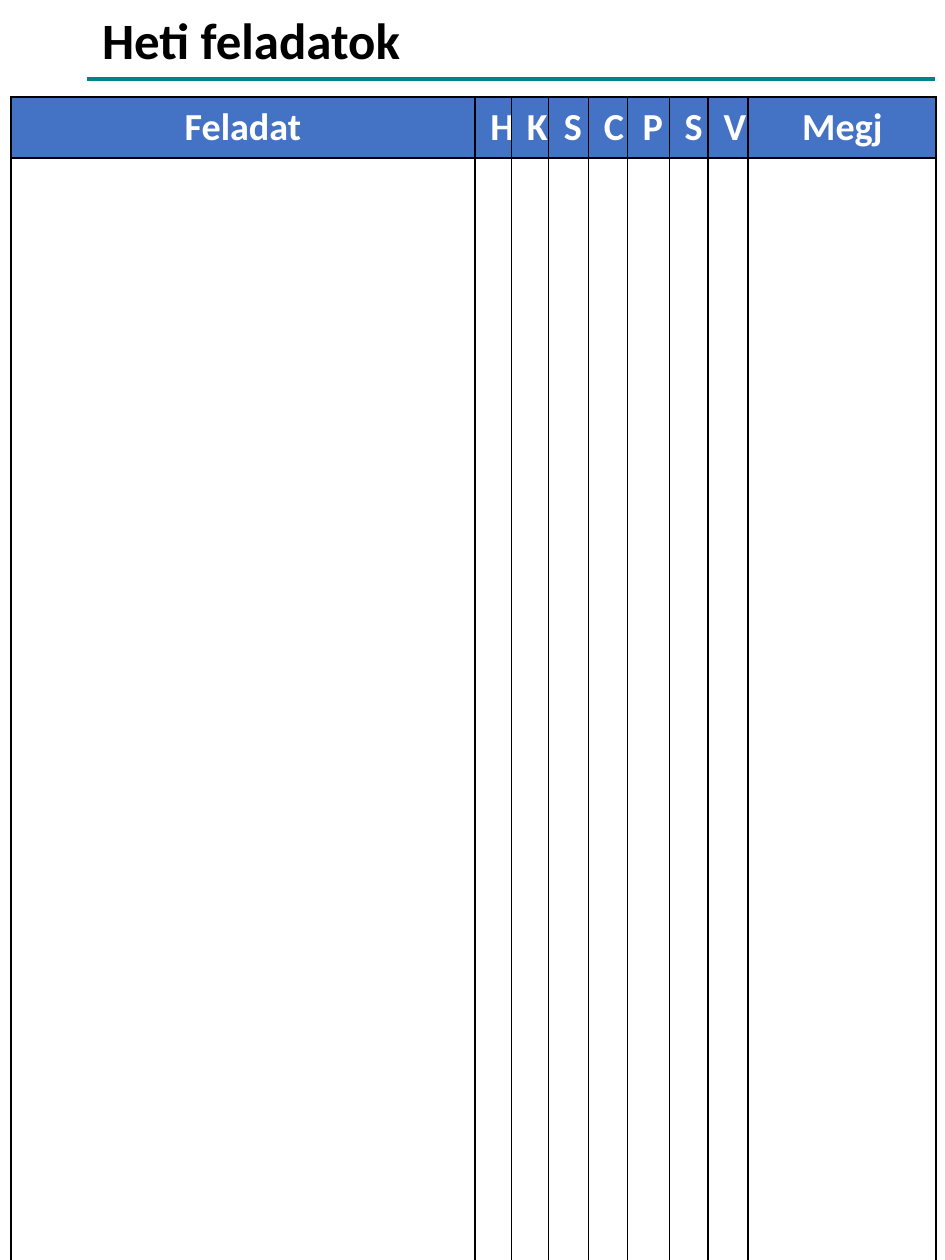
from dataclasses import dataclass

from lxml import etree
from pptx import Presentation
from pptx.dml.color import RGBColor
from pptx.enum.shapes import MSO_CONNECTOR
from pptx.enum.text import MSO_ANCHOR, PP_ALIGN
from pptx.oxml.ns import qn
from pptx.util import Emu, Pt

STRAIGHT = MSO_CONNECTOR.STRAIGHT
MIDDLE = MSO_ANCHOR.MIDDLE
LEFT, CENTER = PP_ALIGN.LEFT, PP_ALIGN.CENTER

SCALE = 914400 / 152.7
FONT = "Calibri"
BLACK, WHITE, TEAL, BLUE = "000000", "FFFFFF", "00818C", "4472C4"
SIDES = ("a:lnL", "a:lnR", "a:lnT", "a:lnB")


@dataclass
class Column:
    head: str
    width: int


COLUMNS = [
    Column("Feladat", 464),
    Column("H", 36),
    Column("K", 37),
    Column("S", 40),
    Column("C", 39),
    Column("P", 42),
    Column("S", 39),
    Column("V", 40),
    Column("Megj", 188),
]
ROWS = [44, 1109]


def px(value: int) -> Emu:
    return Emu(round(value * SCALE))


def color(code: str) -> RGBColor:
    return RGBColor.from_string(code)


def style(para, size: int, code: str, align) -> None:
    para.alignment = align
    for run in para.runs:
        run.font.name = FONT
        run.font.size = Pt(size)
        run.font.bold = True
        run.font.color.rgb = color(code)


def border(cell, code: str, width: int) -> None:
    props = cell._tc.get_or_add_tcPr()
    for place, side in enumerate(SIDES):
        line = etree.Element(qn(side), w=str(Pt(width)))
        fill = etree.SubElement(line, qn("a:solidFill"))
        etree.SubElement(fill, qn("a:srgbClr"), val=code)
        props.insert(place, line)


def add_rule(slide, left: int, right: int, top: int) -> None:
    rule = slide.shapes.add_connector(STRAIGHT, px(left), px(top), px(right), px(top))
    rule.line.color.rgb = color(TEAL)
    rule.line.width = Pt(2.25)
    etree.SubElement(rule._element.spPr, qn("a:effectLst"))


def add_title(slide, text: str) -> None:
    box = slide.shapes.add_textbox(px(87), px(-8), px(815), px(102))
    frame = box.text_frame
    frame.word_wrap = True
    frame.vertical_anchor = MIDDLE
    frame.text = text
    para = frame.paragraphs[0]
    para.line_spacing = 0.9
    style(para, 24, BLACK, LEFT)


def add_plan(slide, left: int, top: int) -> None:
    width = sum(column.width for column in COLUMNS)
    table = slide.shapes.add_table(
        len(ROWS), len(COLUMNS), px(left), px(top), px(width), px(sum(ROWS))
    ).table
    table.first_row = table.horz_banding = False
    for row, height in zip(table.rows, ROWS):
        row.height = px(height)
    for index, column in enumerate(COLUMNS):
        table.columns[index].width = px(column.width)
        head, body = table.cell(0, index), table.cell(1, index)
        head.text = column.head
        style(head.text_frame.paragraphs[0], 18, WHITE, CENTER)
        head.fill.solid()
        head.fill.fore_color.rgb = color(BLUE)
        body.fill.background()
        for cell in (head, body):
            border(cell, BLACK, 1)


# Page
deck = Presentation()
deck.slide_width, deck.slide_height = px(945), px(1260)
page = deck.slides.add_slide(deck.slide_layouts[6])

# Heading and its rule
add_rule(page, 87, 935, 79)
add_title(page, "Heti feladatok")

# Weekly table
add_plan(page, 11, 97)

deck.save("out.pptx")
